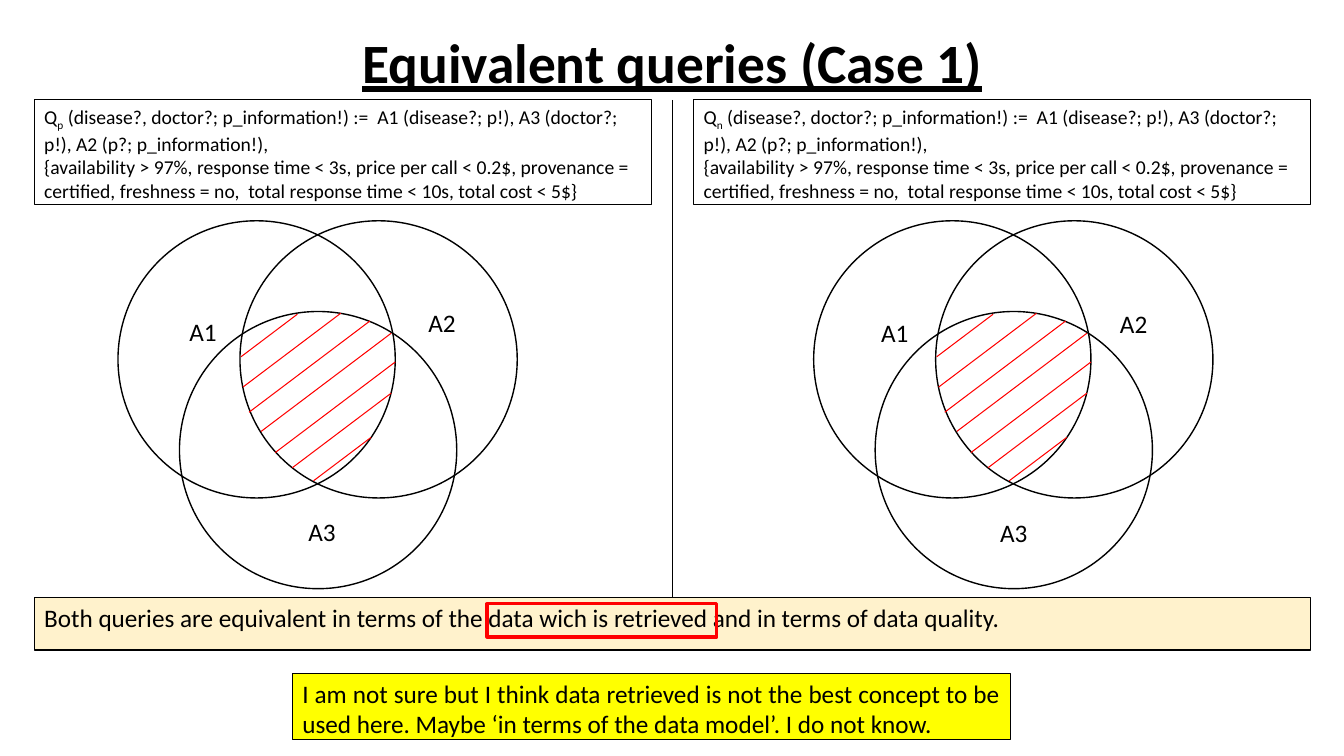
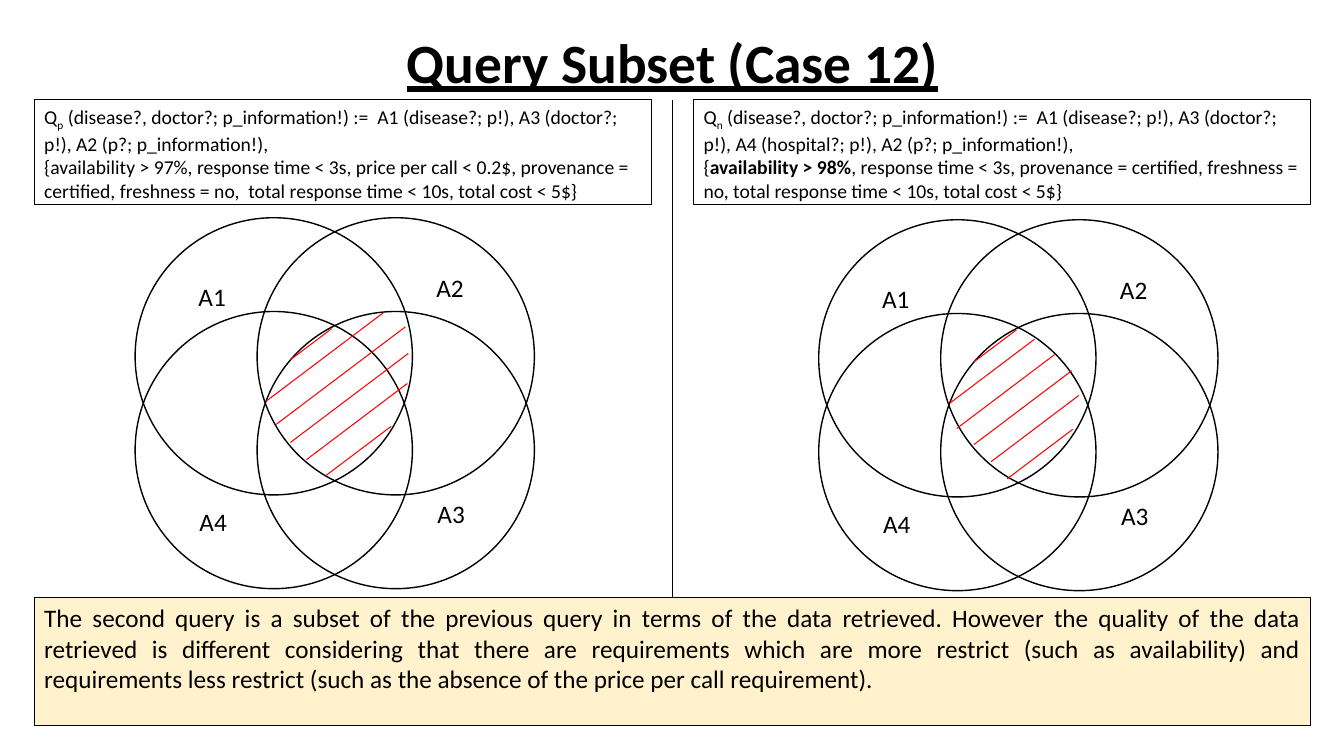
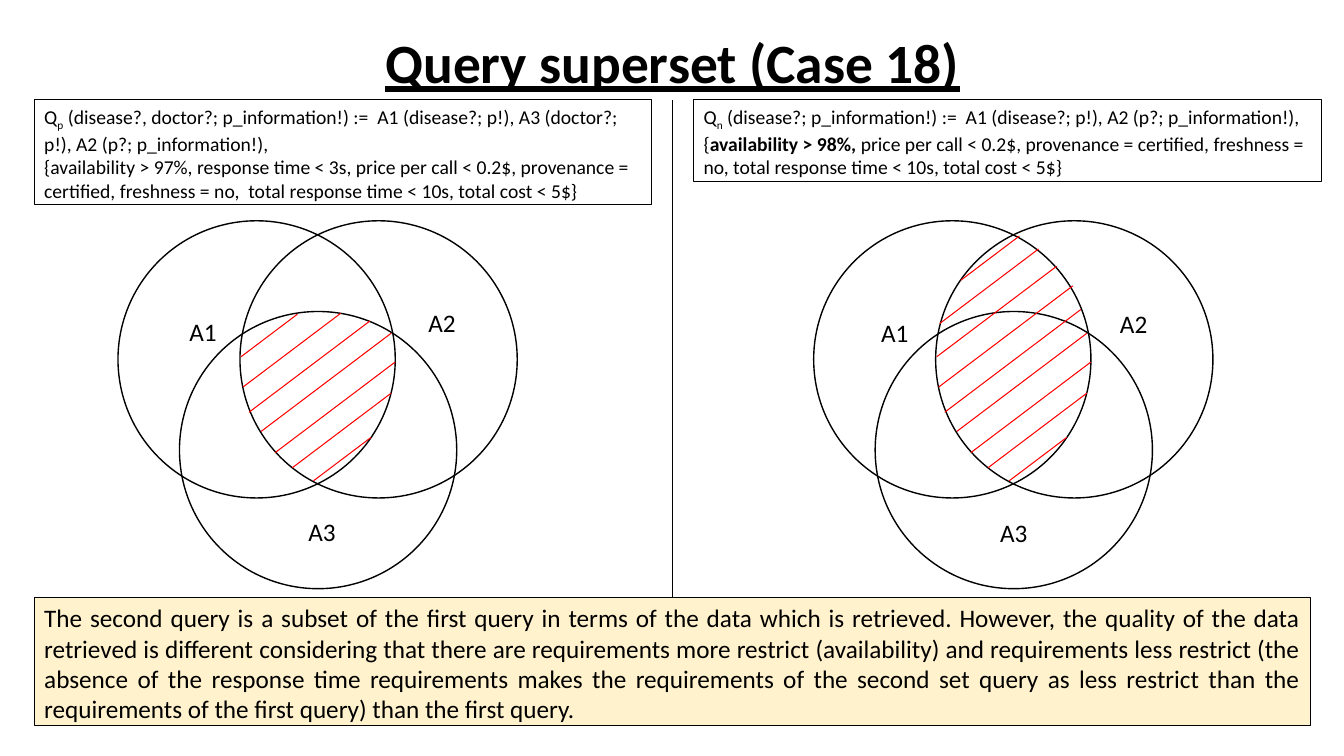
from dataclasses import dataclass

import lxml.etree
import pptx
import pptx.dml.color
import pptx.enum.shapes
import pptx.enum.text
import pptx.oxml.ns
import pptx.util

Inches = pptx.util.Inches
Pt = pptx.util.Pt
SHAPE = pptx.enum.shapes.MSO_SHAPE
ALIGN = pptx.enum.text.PP_ALIGN
ANCHOR = pptx.enum.text.MSO_ANCHOR
AUTO_SIZE = pptx.enum.text.MSO_AUTO_SIZE

COLORS = {"ink": "000000", "hatch": "FF0000", "verdict": "FFF2CC", "note": "FFFF00"}
FONT = "Calibri"
LEFT, RIGHT, TOP = 0.34, 6.88, 0.99
CIRCLE = 2.75
HATCH_SLOPE = 0.755


# Data types
@dataclass(frozen=True)
class Box:
    x: float
    y: float
    w: float
    h: float


@dataclass(frozen=True)
class Run:
    text: str
    bold: bool = False
    subscript: bool = False


@dataclass(frozen=True)
class Hatch:
    """A rising stroke: its lower left end and its horizontal reach."""
    x: float
    y: float
    w: float


@dataclass(frozen=True)
class Label:
    text: str
    x: float
    y: float


@dataclass(frozen=True)
class Layout:
    """Circle and label places, measured from the first circle's corner."""
    circles: list[tuple[float, float]]
    labels: list[Label]


@dataclass(frozen=True)
class Venn:
    x: float
    y: float
    layout: Layout
    hatches: list[Hatch]
    label_shift: tuple[float, float] = (0, 0)


@dataclass(frozen=True)
class Query:
    box: Box
    paragraphs: list[list[Run]]


@dataclass(frozen=True)
class Case:
    title: str
    new_query: Query
    venns: list[Venn]
    verdict: str
    verdict_h: float = 1.27


# Diagrams
THREE = Layout(
    [(0, 0), (1.21, 0), (0.61, 0.9)],
    [Label("A1", 0.61, 0.9), Label("A2", 2.98, 0.81), Label("A3", 1.79, 2.88)],
)
FOUR = Layout(
    [(0, 0), (1.21, 0), (1.21, 0.93), (0, 0.93)],
    [Label("A1", 0.53, 0.58), Label("A2", 2.89, 0.49),
     Label("A4", 0.54, 2.81), Label("A3", 2.9, 2.73)],
)
LOWER = [Hatch(1.42, 2.09, 1.29), Hatch(1.56, 2.3, 1.19),
         Hatch(1.73, 2.45, 0.98), Hatch(1.94, 2.58, 0.57)]
CORE = [Hatch(1.22, 1.35, 0.56), Hatch(1.24, 1.65, 0.97), Hatch(1.3, 1.9, 1.2)] + LOWER
LENS = [Hatch(1.46, 0.59, 0.58), Hatch(1.25, 1.02, 0.98), Hatch(1.22, 1.35, 1.19),
        Hatch(1.24, 1.65, 1.33), Hatch(1.3, 1.9, 1.35)] + LOWER
FOUR_WIDE = [Hatch(1.54, 1.41, 0.41), Hatch(1.3, 1.82, 1.16), Hatch(1.4, 2.05, 1.28),
             Hatch(1.54, 2.23, 1.17), Hatch(1.7, 2.4, 1), Hatch(1.89, 2.56, 0.65)]
FOUR_CORE = [Hatch(1.54, 1.41, 0.42), Hatch(1.3, 1.82, 0.84), Hatch(1.37, 2.07, 0.97),
             Hatch(1.54, 2.23, 0.97), Hatch(1.71, 2.4, 0.87), Hatch(1.87, 2.57, 0.65)]


def right_three(hatches: list[Hatch]) -> Venn:
    return Venn(8.07, 2.19, THREE, hatches, (-0.04, 0.01))


LEFT_THREE = Venn(1.17, 2.19, THREE, CORE)


# Queries
def query(box: Box, index: str, head: str, terms: list[Run]) -> Query:
    return Query(box, [[Run("Q"), Run(index, subscript=True), Run(head)], terms])


HEAD = (" (disease?, doctor?; p_information!) :=  A1 (disease?; p!), "
        "A3 (doctor?; p!), A2 (p?; p_information!),")
TERMS = [Run("{availability > 97%, response time < 3s, price per call < 0.2$, "
             "provenance = certified, freshness = no,  total response time < 10s, "
             "total cost < 5$}")]
NEW_BOX = Box(RIGHT, TOP, 6.12, 1.04)
PREVIOUS = query(Box(LEFT, TOP, 6.12, 1.04), "p", HEAD, TERMS)

CASES = [
    Case(
        "Equivalent queries (Case 1)",
        query(NEW_BOX, "n", HEAD, TERMS),
        [LEFT_THREE, right_three(CORE)],
        "Both queries are equivalent in terms of the data wich is retrieved and in "
        "terms of data quality.",
        0.52,
    ),
    Case(
        "Query Subset (Case 12)",
        query(
            NEW_BOX, "n",
            " (disease?, doctor?; p_information!) :=  A1 (disease?; p!), "
            "A3 (doctor?; p!), A4 (hospital?; p!), A2 (p?; p_information!),",
            [Run("{"), Run("availability > 98%", bold=True),
             Run(", response time < 3s, provenance = certified, freshness = no, "
                 "total response time < 10s, total cost < 5$}")],
        ),
        [Venn(1.34, 2.16, FOUR, FOUR_WIDE), Venn(8.12, 2.18, FOUR, FOUR_CORE)],
        "The second query is a subset of the previous query in terms of the data "
        "retrieved. However the quality of the data retrieved is different considering "
        "that there are requirements which are more restrict (such as availability) and "
        "requirements less restrict (such as the absence of the price per call "
        "requirement).",
    ),
    Case(
        "Query superset (Case 18)",
        query(
            Box(RIGHT, TOP, 6.23, 0.81), "n",
            " (disease?; p_information!) :=  A1 (disease?; p!), A2 (p?; p_information!),",
            [Run("{"), Run("availability > 98%, ", bold=True),
             Run("price per call < 0.2$, provenance = certified, freshness = no, "
                 "total response time < 10s, total cost < 5$}")],
        ),
        [LEFT_THREE, right_three(LENS)],
        "The second query is a subset of the first query in terms of the data which is "
        "retrieved. However, the quality of the data retrieved is different considering "
        "that there are requirements more restrict (availability) and requirements less "
        "restrict (the absence of the response time requirements makes the requirements "
        "of the second set query as less restrict than the requirements of the first "
        "query) than the first query.",
    ),
]
NOTE = ("I am not sure but I think data retrieved is not the best concept to be used "
        "here. Maybe ‘in terms of the data model’. I do not know.")


# Drawing helpers
def rgb(name: str) -> pptx.dml.color.RGBColor:
    return pptx.dml.color.RGBColor.from_string(COLORS[name])


def style(r, size: float, bold: bool = False) -> None:
    r.font.name = FONT
    r.font.size = Pt(size)
    r.font.bold = bold
    r.font.color.rgb = rgb("ink")


def add_outline(shapes, kind, box: Box, width: float = 1, color: str = "ink", fill: str = ""):
    sp = shapes.add_shape(kind, Inches(box.x), Inches(box.y), Inches(box.w), Inches(box.h))
    sp.shadow.inherit = False
    sp.line.color.rgb = rgb(color)
    sp.line.width = Pt(width)
    if fill:
        sp.fill.solid()
        sp.fill.fore_color.rgb = rgb(fill)
    else:
        sp.fill.background()
    return sp


def add_line(shapes, x1: float, y1: float, x2: float, y2: float,
             width: float, color: str) -> None:
    line = shapes.add_connector(pptx.enum.shapes.MSO_CONNECTOR.STRAIGHT,
                                Inches(x1), Inches(y1), Inches(x2), Inches(y2))
    line.line.color.rgb = rgb(color)
    line.line.width = Pt(width)
    sp_pr = line._element.find(pptx.oxml.ns.qn("p:spPr"))
    lxml.etree.SubElement(sp_pr, pptx.oxml.ns.qn("a:effectLst"))


def add_title(slide, text: str) -> None:
    sp = slide.shapes.title
    sp.left, sp.top, sp.width, sp.height = Inches(0.92), Inches(0.31), Inches(11.5), Inches(0.68)
    tf = sp.text_frame
    tf.text = text
    tf.auto_size = AUTO_SIZE.NONE
    tf.vertical_anchor = ANCHOR.MIDDLE
    p = tf.paragraphs[0]
    p.alignment = ALIGN.CENTER
    p.line_spacing = 0.9
    style(p.runs[0], 39.6, bold=True)
    p.runs[0].font.underline = True


def add_query(slide, q: Query) -> None:
    tf = add_outline(slide.shapes, SHAPE.RECTANGLE, q.box, 0.75).text_frame
    tf.word_wrap = True
    tf.auto_size = AUTO_SIZE.SHAPE_TO_FIT_TEXT
    tf.vertical_anchor = ANCHOR.TOP
    for i, runs in enumerate(q.paragraphs):
        p = tf.add_paragraph() if i else tf.paragraphs[0]
        p.alignment = ALIGN.LEFT
        for run in runs:
            r = p.add_run()
            r.text = run.text
            style(r, 14, run.bold)
            if run.subscript:
                r._r.get_or_add_rPr().set("baseline", "-25000")


def add_comment_box(slide, box: Box, text: str, fill: str) -> None:
    tf = add_outline(slide.shapes, SHAPE.RECTANGLE, box, fill=fill).text_frame
    tf.text = text
    tf.word_wrap = True
    tf.vertical_anchor = ANCHOR.TOP
    tf.paragraphs[0].alignment = ALIGN.JUSTIFY
    style(tf.paragraphs[0].runs[0], 18)


def add_venn(slide, venn: Venn) -> None:
    shapes = slide.shapes.add_group_shape().shapes
    for dx, dy in venn.layout.circles:
        add_outline(shapes, SHAPE.OVAL, Box(venn.x + dx, venn.y + dy, CIRCLE, CIRCLE))
    for hatch in venn.hatches:
        x, y = venn.x + hatch.x, venn.y + hatch.y
        add_line(shapes, x, y, x + hatch.w, y - hatch.w * HATCH_SLOPE, 0.75, "hatch")
    shift_x, shift_y = venn.label_shift
    for label in venn.layout.labels:
        sp = shapes.add_textbox(Inches(venn.x + label.x + shift_x),
                                Inches(venn.y + label.y + shift_y),
                                Inches(0.48), Inches(0.4))
        tf = sp.text_frame
        tf.text = label.text
        tf.word_wrap = False
        tf.auto_size = AUTO_SIZE.SHAPE_TO_FIT_TEXT
        style(tf.paragraphs[0].runs[0], 18)


def add_case(prs, case: Case):
    slide = prs.slides.add_slide(prs.slide_layouts.get_by_name("Title Only"))
    add_title(slide, case.title)
    add_line(slide.shapes, 6.67, TOP, 6.67, 6.12, 0.5, "ink")
    for q in (PREVIOUS, case.new_query):
        add_query(slide, q)
    for venn in case.venns:
        add_venn(slide, venn)
    add_comment_box(slide, Box(LEFT, 5.93, 12.66, case.verdict_h), case.verdict, "verdict")
    return slide


def main() -> None:
    prs = pptx.Presentation()
    prs.slide_width, prs.slide_height = Inches(13.33), Inches(7.5)
    slides = [add_case(prs, case) for case in CASES]

    # Reviewer's remark on the first case
    add_comment_box(slides[0], Box(2.9, 6.68, 7.12, 0.66), NOTE, "note")
    add_outline(slides[0].shapes, SHAPE.RECTANGLE, Box(4.83, 5.99, 2.28, 0.33), 2.25, "hatch")

    prs.save("out.pptx")


if __name__ == "__main__":
    main()
